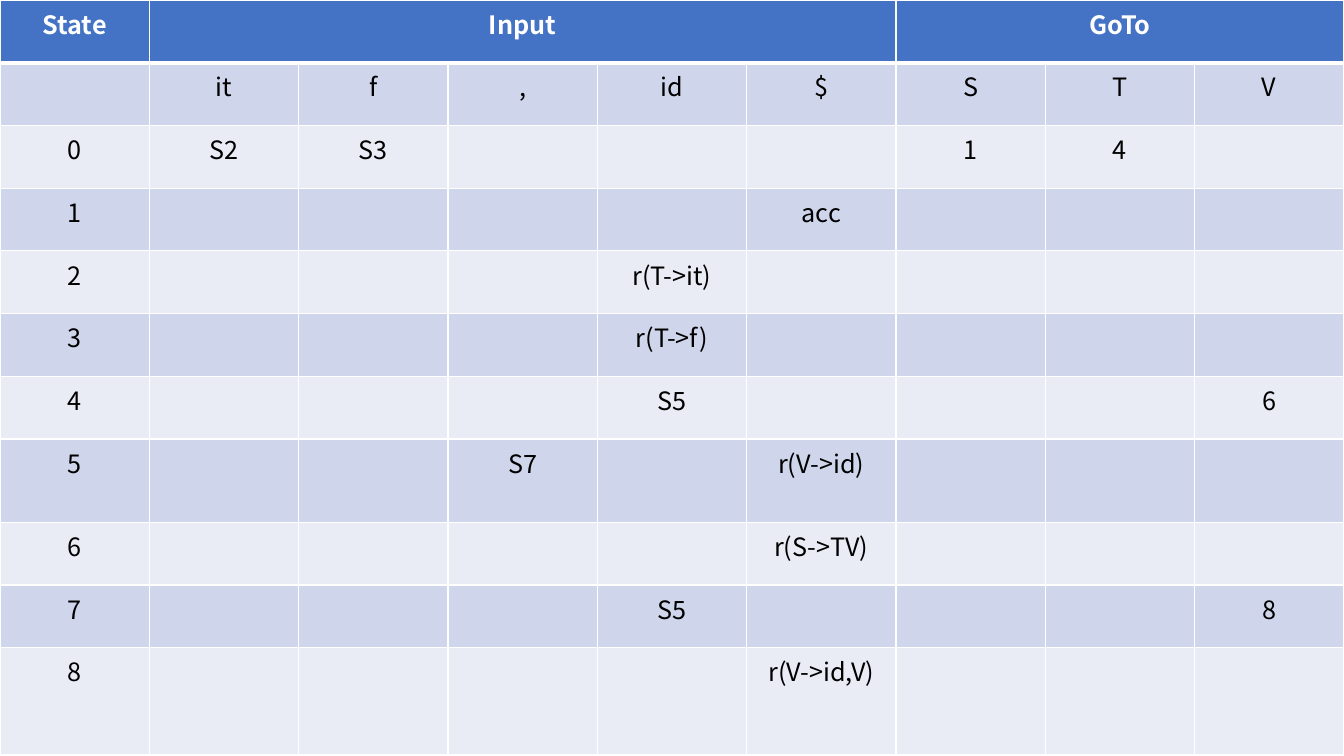
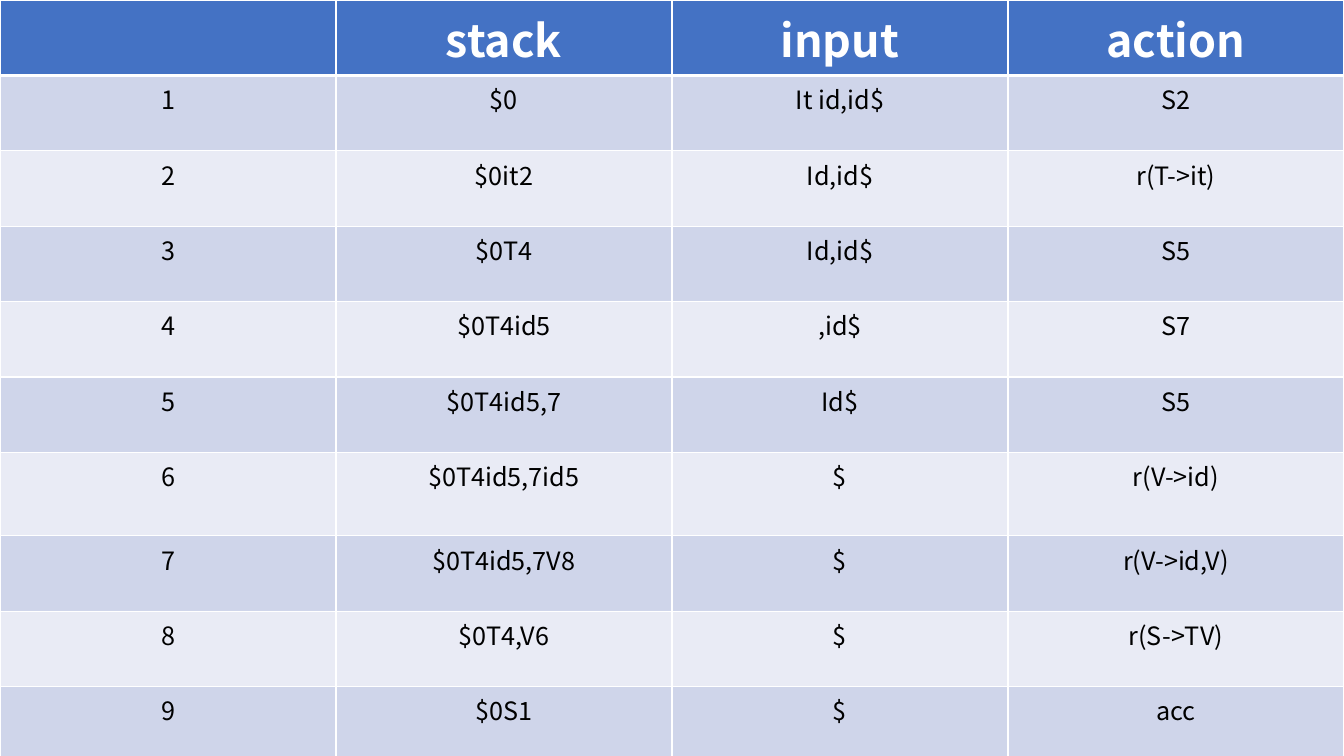
from lxml.etree import SubElement
from pptx import Presentation
from pptx.dml.color import RGBColor
from pptx.enum.text import PP_ALIGN as Align
from pptx.oxml.ns import qn
from pptx.util import Cm, Pt

WIDTH, HEIGHT = 33.87, 19.05
FONT = "Noto Sans CJK SC"
WHITE, BLACK, BLUE = "FFFFFF", "000000", "4472C4"
BANDS = ("CFD5EA", "E9EBF5")
BODY_SIZE = 18
THIN, THICK = 1, 3


def color(value):
    """Turn a hex string into a colour."""
    return RGBColor.from_string(value)


class Deck:
    """Hold the presentation, its table style and the current slide."""

    def __init__(self):
        """Start an empty widescreen presentation."""
        self.presentation = Presentation()
        self.presentation.slide_width = Cm(WIDTH)
        self.presentation.slide_height = Cm(HEIGHT)
        self.slide = None

    def add_slide(self):
        """Add a blank slide and make it current."""
        layout = self.presentation.slide_layouts[6]
        self.slide = self.presentation.slides.add_slide(layout)

    def add_table(self, rows, heights, header_size=BODY_SIZE, spans=()):
        """Add a full-slide table; spans give (first, last) header columns."""
        shape = self.slide.shapes.add_table(
            len(rows), len(rows[0]), 0, 0, Cm(WIDTH), Cm(sum(heights)))
        table = shape.table
        table.first_row = table.horz_banding = False
        for column in table.columns:
            column.width = Cm(WIDTH / len(rows[0]))
        for index, (texts, height) in enumerate(zip(rows, heights)):
            table.rows[index].height = Cm(height)
            header = index == 0
            fill = BLUE if header else BANDS[(index - 1) % 2]
            top = THICK if index == 1 else THIN
            bottom = THICK if header else THIN
            for cell, text in zip(table.rows[index].cells, texts):
                self.fill_cell(cell, fill, top, bottom)
                if text:
                    self.add_text(cell, text, header,
                                  header_size if header else BODY_SIZE)
        for first, last in spans:
            table.cell(0, first).merge(table.cell(0, last))

    def fill_cell(self, cell, fill, top, bottom):
        """Paint a cell and draw its four white borders."""
        properties = cell._tc.get_or_add_tcPr()
        for side, width in zip("LRTB", (THIN, THIN, top, bottom)):
            line = SubElement(properties, qn(f"a:ln{side}"), w=str(Pt(width)))
            solid = SubElement(line, qn("a:solidFill"))
            SubElement(solid, qn("a:srgbClr"), val=WHITE)
        cell.fill.solid()
        cell.fill.fore_color.rgb = color(fill)

    def add_text(self, cell, text, header, size):
        """Put one centred run in a cell."""
        paragraph = cell.text_frame.paragraphs[0]
        paragraph.alignment = Align.CENTER
        run = paragraph.add_run()
        run.text = text
        run.font.name = FONT
        run.font.size = Pt(size)
        run.font.bold = header
        run.font.color.rgb = color(WHITE if header else BLACK)


def parsing_table(deck):
    """Build the slide with the parser's action and goto table."""
    symbols = ["it", "f", ",", "id", "$", "S", "T", "V"]
    states = [
        {"it": "S2", "f": "S3", "S": "1", "T": "4"},
        {"$": "acc"},
        {"id": "r(T->it)"},
        {"id": "r(T->f)"},
        {"id": "S5", "V": "6"},
        {",": "S7", "$": "r(V->id)"},
        {"$": "r(S->TV)"},
        {"id": "S5", "V": "8"},
        {"$": "r(V->id,V)"},
    ]
    rows = [["State", "Input", "", "", "", "", "GoTo", "", ""], ["", *symbols]]
    for number, actions in enumerate(states):
        cells = [actions.get(symbol, "") for symbol in symbols]
        rows.append([str(number), *cells])
    heights = [1.58] * 7 + [2.1] + [1.58] * 2 + [2.7]
    deck.add_slide()
    deck.add_table(rows, heights, spans=[(1, 5), (6, 8)])


def parsing_trace(deck):
    """Build the slide that traces the parse step by step."""
    steps = [
        ("$0", "It id,id$", "S2"),
        ("$0it2", "Id,id$", "r(T->it)"),
        ("$0T4", "Id,id$", "S5"),
        ("$0T4id5", ",id$", "S7"),
        ("$0T4id5,7", "Id$", "S5"),
        ("$0T4id5,7id5", "$", "r(V->id)"),
        ("$0T4id5,7V8", "$", "r(V->id,V)"),
        ("$0T4,V6", "$", "r(S->TV)"),
        ("$0S1", "$", "acc"),
    ]
    rows = [["", "stack", "input", "action"]]
    rows += [[str(number), *step] for number, step in enumerate(steps, 1)]
    heights = [1.9] * 6 + [2.1] + [1.9] * 3
    deck.add_slide()
    deck.add_table(rows, heights, header_size=32)


deck = Deck()
parsing_table(deck)
parsing_trace(deck)
deck.presentation.save("out.pptx")
